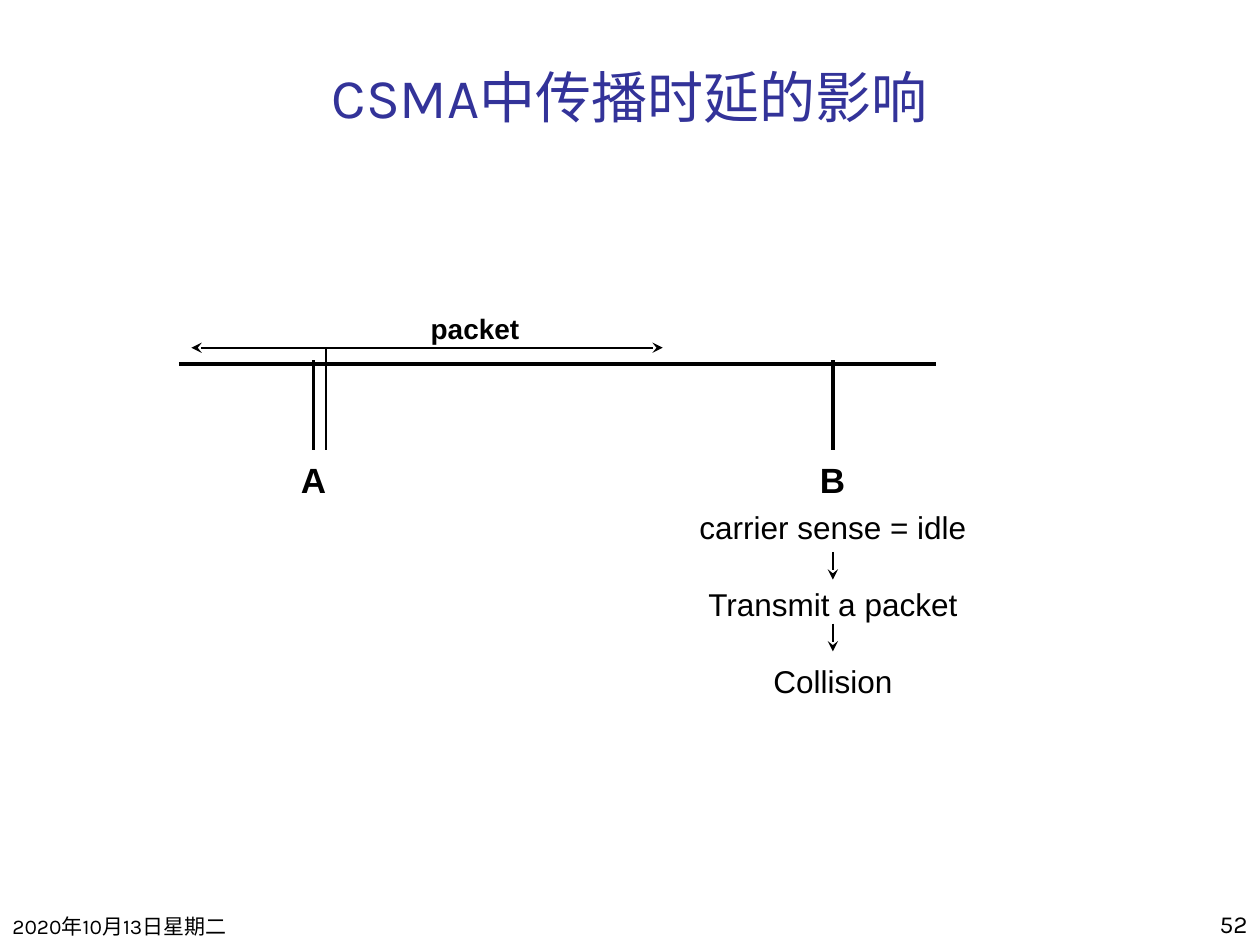
from lxml.etree import SubElement
from pptx import Presentation
from pptx.dml.color import RGBColor
from pptx.enum.shapes import MSO_CONNECTOR
from pptx.enum.text import MSO_ANCHOR, PP_ALIGN
from pptx.oxml.ns import qn
from pptx.util import Inches, Pt

WIDE, HIGH = 10, 7.5
LEFT, MID, RIGHT = PP_ALIGN.LEFT, PP_ALIGN.CENTER, PP_ALIGN.RIGHT
TOP, BASE = MSO_ANCHOR.TOP, MSO_ANCHOR.BOTTOM

theme = {
    "ink": RGBColor(0, 0, 0),
    "blue": RGBColor(0x33, 0x33, 0x99),
    "head": "Karla",
    "body": "Arial",
    "title": 32, "date": 12, "page": 14,
    "node": 20, "step": 18, "label": 16,
    "thick": 2, "thin": 1,
    "gap": 22.4,
}

title = "CSMA中传播时延的影响"
date, page = "2020年10月13日星期二", "52"
nodes = {"A": 2.49, "B": 6.61}
steps = ["carrier sense = idle", "Transmit a packet", "Collision"]
label = "packet"

bus = {"left": 1.42, "right": 7.43, "y": 2.89}
span = {"left": 1.52, "right": 5.26, "y": 2.76}
stub = {"top": 2.86, "end": 3.57}
flow = {"top": 4.38, "pitch": 0.57, "len": 0.22}

deck = Presentation()
deck.slide_width, deck.slide_height = Inches(WIDE), Inches(HIGH)
slide = deck.slides.add_slide(deck.slide_layouts[6])


def write(lines, box, size, face="body", tint="ink", side=LEFT,
          hold=TOP, bold=False, wrap=False):
    frame = slide.shapes.add_textbox(*map(Inches, box)).text_frame
    frame.word_wrap = wrap
    frame.vertical_anchor = hold
    frame.text = "\n".join(lines)
    for spot, para in enumerate(frame.paragraphs):
        para.alignment = side
        if spot:
            para.space_before = Pt(theme["gap"])
        for run in para.runs:
            run.font.name = theme[face]
            run.font.size = Pt(theme[size])
            run.font.bold = bold
            run.font.color.rgb = theme[tint]


def draw(x1, y1, x2, y2, width="thin", ends=()):
    line = slide.shapes.add_connector(
        MSO_CONNECTOR.STRAIGHT, *map(Inches, (x1, y1, x2, y2)))
    line.line.color.rgb = theme["ink"]
    line.line.width = Pt(theme[width])
    for end in ends:
        SubElement(line.line._ln, qn("a:" + end), type="stealth")
    SubElement(line._element.spPr, qn("a:effectLst"))


foot, side = 0.5, 2.08
write([date], (0, HIGH - foot, side, foot), "date", "head", hold=BASE, wrap=True)
write([page], (WIDE - side, HIGH - foot, side, foot), "page", "head",
      side=RIGHT, hold=BASE, wrap=True)
write([title], (0, 0.25, WIDE, 0.83), "title", "head", "blue", MID, BASE, wrap=True)

draw(bus["left"], bus["y"], bus["right"], bus["y"], "thick")
for name, x in nodes.items():
    draw(x, stub["top"], x, stub["end"], "thick")
    write([name], (x - 0.2, 3.59, 0.4, 0.43), "node", bold=True)

start = nodes["A"] + 0.1
draw(start, stub["end"], start, span["y"])
draw(span["left"], span["y"], span["right"], span["y"], ends=("headEnd", "tailEnd"))
write([label], (3.32, 2.42, 0.91, 0.37), "label", bold=True)

write(steps, (nodes["B"] - 1.16, 3.98, 2.32, 1.6), "step", side=MID)
for row in range(len(steps) - 1):
    y = flow["top"] + row * flow["pitch"]
    draw(nodes["B"], y, nodes["B"], y + flow["len"], ends=("tailEnd",))

deck.save("out.pptx")
